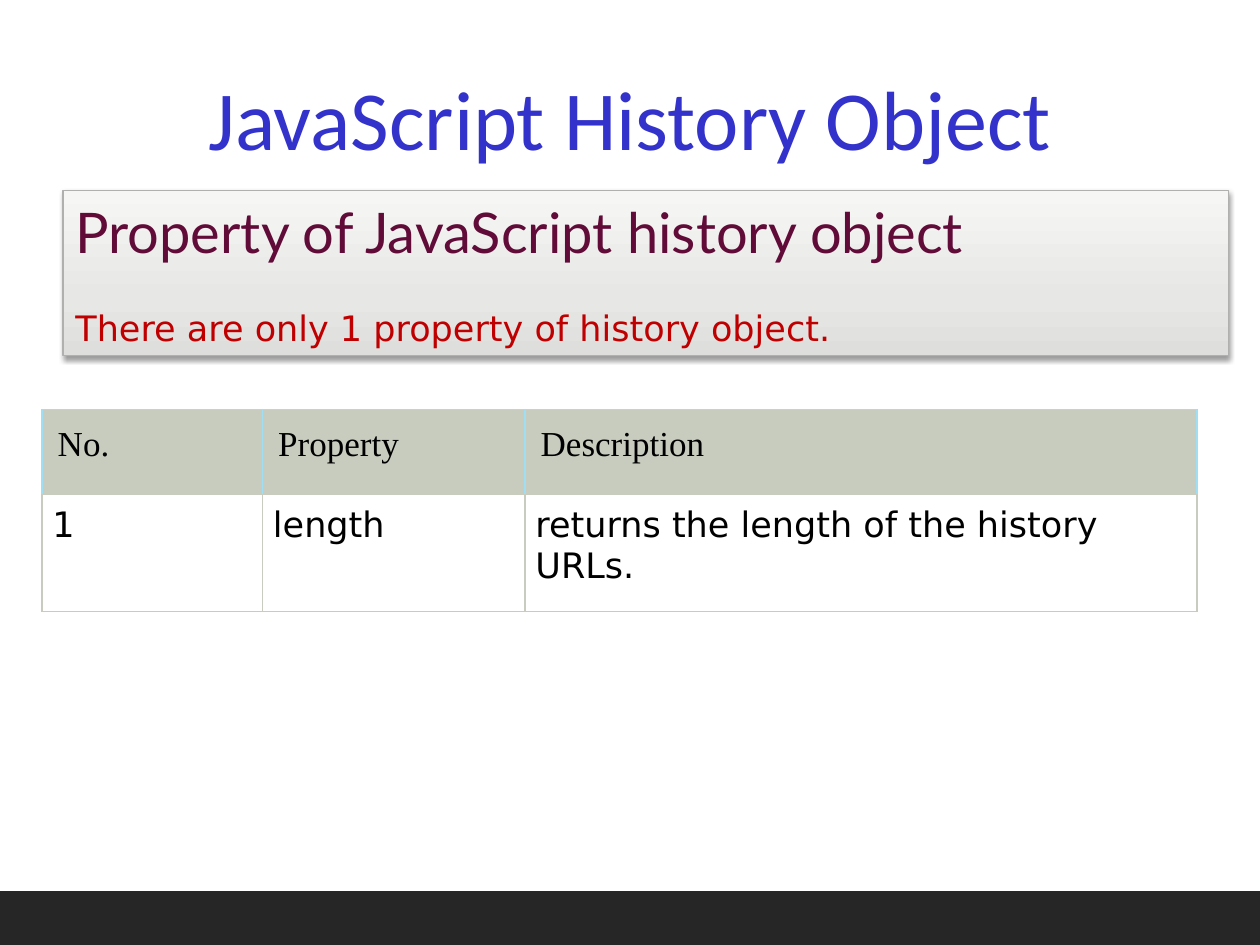
import copy
from dataclasses import dataclass

import lxml.etree as etree
import pptx
import pptx.dml.color
import pptx.enum.shapes
import pptx.enum.text
import pptx.oxml.ns
import pptx.util

Pt = pptx.util.Pt
Align = pptx.enum.text.PP_ALIGN
Anchor = pptx.enum.text.MSO_ANCHOR
qn = pptx.oxml.ns.qn


@dataclass(frozen=True)
class Theme:
    title: str = "3333CC"
    head: str = "610B38"
    note: str = "C00000"
    ink: str = "000000"
    paper: str = "FFFFFF"
    sage: str = "C7CCBE"
    sky: str = "A0DFF3"
    edge: str = "B0B0AF"
    dark: str = "262626"
    fade: tuple = ((0, "DEDEDD"), (0.35, "E7E7E6"), (1, "F6F6F5"))
    big: float = 48
    mid: float = 32
    small: float = 20


@dataclass(frozen=True)
class Box:
    left: float
    top: float
    width: float
    height: float

    def emu(self) -> tuple:
        return Pt(self.left), Pt(self.top), Pt(self.width), Pt(self.height)


@dataclass(frozen=True)
class Row:
    texts: tuple
    height: float
    font: str
    fill: str
    inset: float
    sides: tuple  # border colours: left, right, top, bottom


T = Theme()
WIDTH, HEIGHT = 720, 540
COLS = (126, 150, 384)
ROWS = (
    Row(("No.", "Property", "Description"), 48.6, "Times New Roman",
        T.sage, 9, (T.sky, T.sky, T.sky, T.sage)),
    Row(("1", "length", "returns the length of the history URLs."), 67,
        "DejaVu Sans", T.paper, 6, (T.sage,) * 4),
)


def rgb(code: str):
    return pptx.dml.color.RGBColor.from_string(code)


def write(para, text: str, *, font: str, size: float, color: str,
          align=Align.LEFT, before: float = 0) -> None:
    para.alignment = align
    para.space_before = Pt(before)
    run = para.add_run()
    run.text = text
    run.font.name = font
    run.font.size = Pt(size)
    run.font.color.rgb = rgb(color)


def add_rect(slide, box: Box, line: str, weight: float):
    kind = pptx.enum.shapes.MSO_SHAPE.RECTANGLE
    shape = slide.shapes.add_shape(kind, *box.emu())
    shape.shadow.inherit = False
    shape.line.color.rgb = rgb(line)
    shape.line.width = Pt(weight)
    return shape


def shade(shape, stops: tuple) -> None:
    """Fill from bottom to top through three stops."""
    fill = shape.fill
    fill.gradient()
    fill.gradient_angle = 90
    group = next(shape._element.spPr.iter(qn("a:gsLst")))
    group.append(copy.deepcopy(group[-1]))
    for stop, (place, code) in zip(fill.gradient_stops, stops):
        stop.position = place
        stop.color.rgb = rgb(code)


def drop(shape, color: str, alpha: int, blur: float, dist: float) -> None:
    """Cast a soft shadow straight down."""
    effects = shape._element.spPr.find(qn("a:effectLst"))
    cast = etree.SubElement(
        effects, qn("a:outerShdw"), blurRad=str(Pt(blur)),
        dist=str(Pt(dist)), dir="5400000", rotWithShape="0")
    tint = etree.SubElement(cast, qn("a:srgbClr"), val=color)
    etree.SubElement(tint, qn("a:alpha"), val=str(alpha * 1000))


def edge(cell, sides: tuple, weight: float = 0.75) -> None:
    props = cell._tc.get_or_add_tcPr()
    for spot, (side, code) in enumerate(zip("LRTB", sides)):
        line = etree.Element(qn(f"a:ln{side}"), w=str(Pt(weight)))
        solid = etree.SubElement(line, qn("a:solidFill"))
        etree.SubElement(solid, qn("a:srgbClr"), val=code)
        props.insert(spot, line)


def add_grid(slide, left: float, top: float) -> None:
    box = Box(left, top, sum(COLS), sum(row.height for row in ROWS))
    table = slide.shapes.add_table(len(ROWS), len(COLS), *box.emu()).table
    for col, width in zip(table.columns, COLS):
        col.width = Pt(width)
    for line, row in zip(table.rows, ROWS):
        line.height = Pt(row.height)
        for cell, text in zip(line.cells, row.texts):
            cell.margin_left = cell.margin_right = Pt(row.inset)
            cell.margin_top = cell.margin_bottom = Pt(row.inset)
            cell.fill.solid()
            cell.fill.fore_color.rgb = rgb(row.fill)
            edge(cell, row.sides)
            write(cell.text_frame.paragraphs[0], text, font=row.font,
                  size=T.small, color=T.ink)


def main() -> None:
    deck = pptx.Presentation()
    deck.slide_width, deck.slide_height = Pt(WIDTH), Pt(HEIGHT)
    slide = deck.slides.add_slide(deck.slide_layouts[6])

    # Title
    frame = slide.shapes.add_textbox(*Box(36, 21.6, 648, 90).emu()).text_frame
    frame.word_wrap = True
    frame.vertical_anchor = Anchor.MIDDLE
    write(frame.paragraphs[0], "JavaScript History Object", font="Calibri",
          size=T.big, color=T.title, align=Align.CENTER)

    # Property table
    add_grid(slide, 24, 234)

    # Heading panel
    panel = add_rect(slide, Box(36, 108.8, 666, 94.4), T.edge, 0.75)
    shade(panel, T.fade)
    drop(panel, T.ink, 38, 3.1, 1.6)
    frame = panel.text_frame
    frame.word_wrap = True
    frame.vertical_anchor = Anchor.MIDDLE
    write(frame.paragraphs[0], "Property of JavaScript history object",
          font="Lato", size=T.mid, color=T.head)
    write(frame.add_paragraph(),
          "There are only 1 property of history object.",
          font="DejaVu Sans", size=T.small, color=T.note, before=24)

    # Footer bar
    bar = add_rect(slide, Box(0, 510, WIDTH, 30), T.dark, 2)
    bar.fill.solid()
    bar.fill.fore_color.rgb = rgb(T.dark)

    deck.save("out.pptx")


if __name__ == "__main__":
    main()
